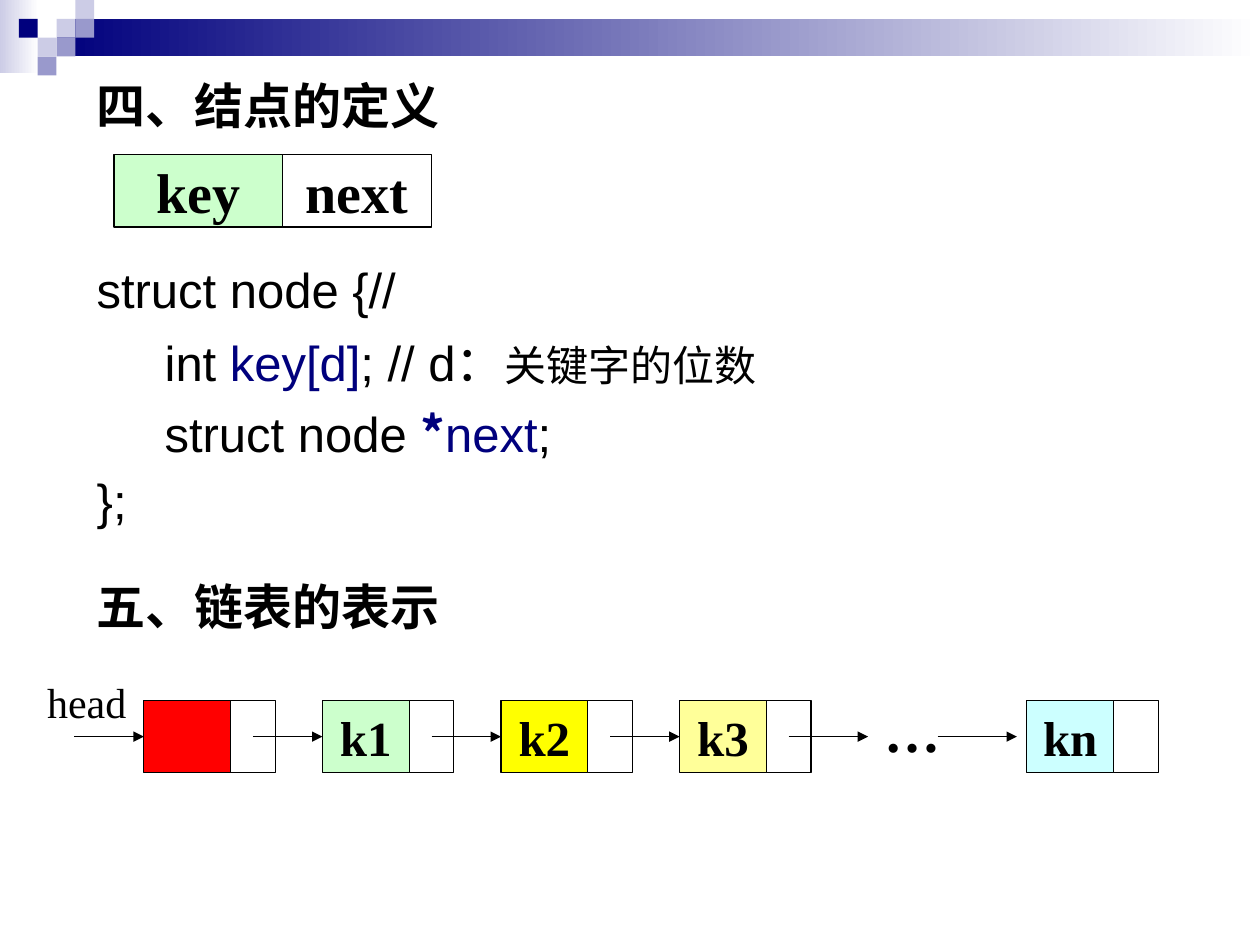
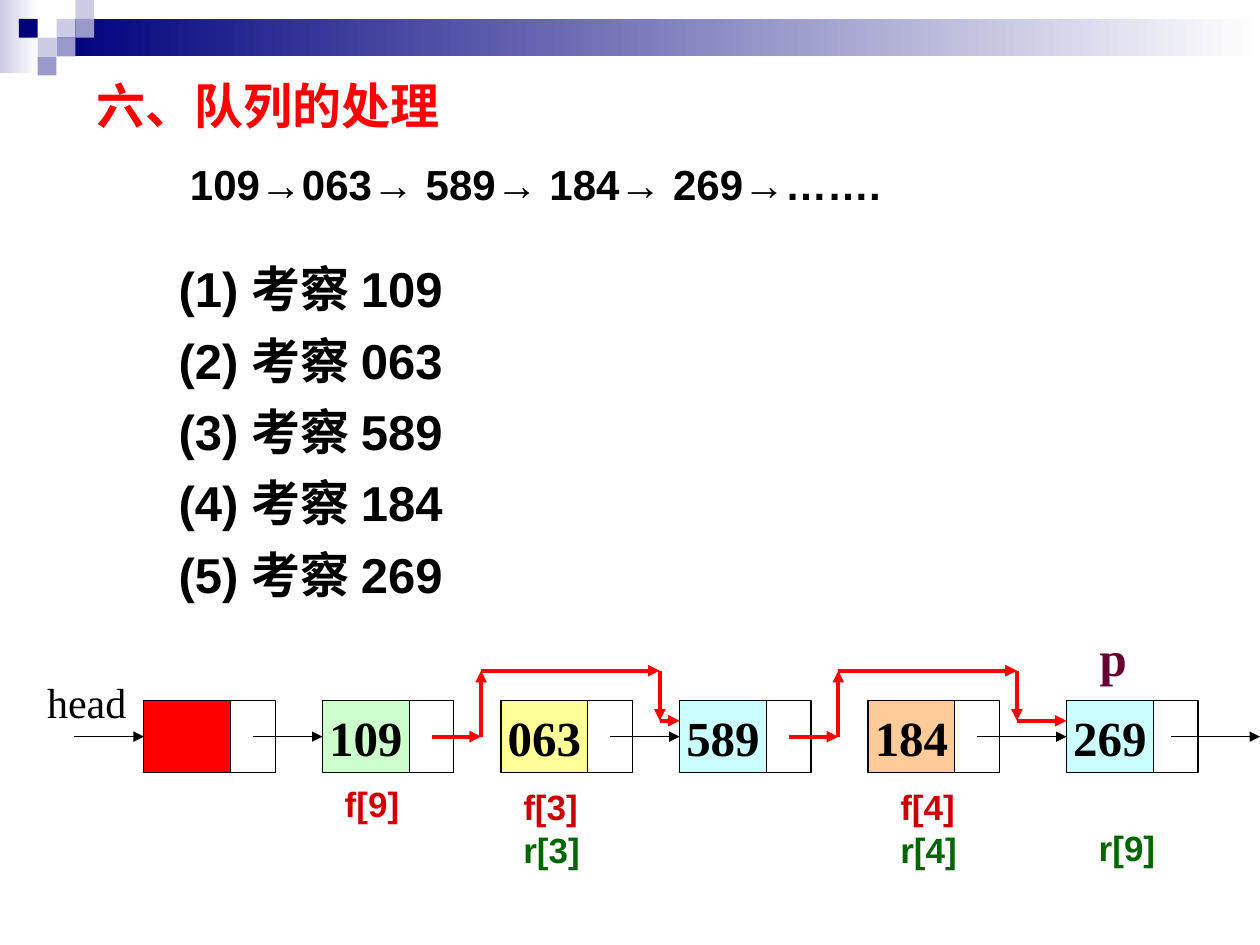
from dataclasses import dataclass
from typing import NamedTuple

from lxml.etree import SubElement
from pptx import Presentation
from pptx.dml.color import RGBColor
from pptx.enum.shapes import MSO_CONNECTOR, MSO_SHAPE
from pptx.enum.text import MSO_ANCHOR, PP_ALIGN
from pptx.oxml.ns import qn
from pptx.util import Cm, Pt

SANS, SERIF, CJK = "Arial", "Times New Roman", "Noto Sans CJK SC"
BLACK, WHITE, RED, NAVY = "000000", "FFFFFF", "FF0000", "00007D"
LAVENDER, PERIWINKLE = "CCCCE6", "9999CC"
GREEN, YELLOW, CREAM, AQUA, PEACH = "CCFFCC", "FFFF00", "FFFF99", "CCFFFF", "FFCC99"
FRONT_RED, REAR_GREEN, PLUM = "CC0000", "006600", "660033"

TILE = 0.38
NODE_TOP, NODE_HEIGHT = 14.12, 1.46
NODE_MIDDLE = NODE_TOP + NODE_HEIGHT / 2
KEY_WIDTH, NEXT_OFFSET, NEXT_WIDTH = 1.75, 1.7, 0.95
FIRST_NODE, NODE_PITCH = 2.9, 3.6
POINTER_OFFSET = 2.2
DETOUR_TOP, DETOUR_ENTRY = 13.52, 14.53


class Piece(NamedTuple):
    text: str
    size: float = 28
    color: str = BLACK
    bold: bool = False
    font: str = SANS


@dataclass
class Line:
    pieces: list[Piece]
    gap: float = 0
    indent: float = 0
    height: float | None = None


class Node(NamedTuple):
    left: float
    key: str
    color: str


@dataclass
class Label:
    left: float
    top: float
    width: float
    height: float
    pieces: list[Piece]
    align: PP_ALIGN = PP_ALIGN.LEFT


class Detour(NamedTuple):
    start: float
    rise: float
    fall: float
    end: float


def rgb(color: str) -> RGBColor:
    return RGBColor.from_string(color)


def write(frame, lines: list[Line], align=PP_ALIGN.LEFT, wrap: bool = False) -> None:
    frame.word_wrap = wrap
    for index, line in enumerate(lines):
        paragraph = frame.add_paragraph() if index else frame.paragraphs[0]
        paragraph.alignment = align
        paragraph.space_before = Pt(line.gap)
        if line.height:
            paragraph.line_spacing = Pt(line.height)
        if line.indent:
            paragraph._p.get_or_add_pPr().set("marL", str(Cm(line.indent)))
        paragraph.text = line.pieces[0].text
        for piece in line.pieces[1:]:
            paragraph.add_run().text = piece.text
        for run, piece in zip(paragraph.runs, line.pieces):
            run.font.size = Pt(piece.size)
            run.font.bold = piece.bold
            run.font.color.rgb = rgb(piece.color)
            run.font.name = piece.font
            SubElement(run._r.get_or_add_rPr(), qn("a:ea"), typeface=CJK)


def add_box(slide, left: float, top: float, width: float, height: float, color: str,
            outlined: bool = False, fade: bool = False):
    box = slide.shapes.add_shape(MSO_SHAPE.RECTANGLE, Cm(left), Cm(top), Cm(width), Cm(height))
    box.shadow.inherit = False
    if fade:
        box.fill.gradient()
        box.fill.gradient_angle = 180
        for stop, shade in zip(box.fill.gradient_stops, (WHITE, color)):
            stop.color.rgb = rgb(shade)
    else:
        box.fill.solid()
        box.fill.fore_color.rgb = rgb(color)
    if outlined:
        box.line.color.rgb = rgb(BLACK)
        box.line.width = Pt(0.75)
    else:
        box.line.fill.background()
    return box


def add_cell(slide, left: float, top: float, width: float, color: str,
             text: str = "", size: float = 28):
    cell = add_box(slide, left, top, width, NODE_HEIGHT, color, outlined=True)
    if text:
        cell.text_frame.vertical_anchor = MSO_ANCHOR.MIDDLE
        write(cell.text_frame, [Line([Piece(text, size, BLACK, True, SERIF)])], PP_ALIGN.CENTER)
    return cell


def add_arrow(slide, start: tuple[float, float], end: tuple[float, float],
              color: str = BLACK, width: float = 0.75, target=None) -> None:
    arrow = slide.shapes.add_connector(MSO_CONNECTOR.STRAIGHT, *map(Cm, start + end))
    arrow.line.color.rgb = rgb(color)
    arrow.line.width = Pt(width)
    SubElement(arrow.line._get_or_add_ln(), qn("a:tailEnd"), type="triangle")
    SubElement(arrow._element.spPr, qn("a:effectLst"))
    if target is not None:
        arrow.end_connect(target, 1)


def add_label(slide, label: Label) -> None:
    area = slide.shapes.add_textbox(Cm(label.left), Cm(label.top), Cm(label.width), Cm(label.height))
    write(area.text_frame, [Line([piece]) for piece in label.pieces], label.align)


def add_band(slide) -> None:
    add_box(slide, 0, 0, 0.78, 1.47, LAVENDER, fade=True)
    add_box(slide, 3 * TILE, TILE, 24.26, 2 * TILE, NAVY, fade=True)
    for column, row, color in (
        (3, 1, LAVENDER), (4, 0, LAVENDER), (4, 1, PERIWINKLE), (2, 2, LAVENDER),
        (1, 1, NAVY), (3, 2, PERIWINKLE), (2, 3, PERIWINKLE),
    ):
        add_box(slide, column * TILE, row * TILE, TILE, TILE, color)


def add_body(slide, height: float, lines: list[Line]) -> None:
    body = slide.shapes.add_textbox(Cm(1.7), Cm(1.32), Cm(23.7), Cm(height))
    for line in lines:
        line.height = 36
    write(body.text_frame, lines, wrap=True)


def add_nodes(slide, nodes: list[Node]) -> list:
    keys = []
    for node in nodes:
        add_cell(slide, node.left + NEXT_OFFSET, NODE_TOP, NEXT_WIDTH, WHITE)
        keys.append(add_cell(slide, node.left, NODE_TOP, KEY_WIDTH, node.color, node.key))
    add_label(slide, Label(0.7, 13.52, 2.1, 1.27, [Piece("head", 24, font=SERIF)]))
    add_pointer(slide, FIRST_NODE - 1.4, FIRST_NODE, keys[0])
    return keys


def add_pointer(slide, start: float, end: float, target=None) -> None:
    add_arrow(slide, (start, NODE_MIDDLE), (end, NODE_MIDDLE), target=target)


def add_detour(slide, detour: Detour) -> None:
    corners = [
        (detour.start, NODE_MIDDLE), (detour.rise, NODE_MIDDLE), (detour.rise, DETOUR_TOP),
        (detour.fall, DETOUR_TOP), (detour.fall, DETOUR_ENTRY), (detour.end, DETOUR_ENTRY),
    ]
    for start, end in zip(corners, corners[1:]):
        add_arrow(slide, start, end, RED, 2.25)


def node_left(index: int) -> float:
    return FIRST_NODE + index * NODE_PITCH


def build_definition(slide) -> None:
    add_band(slide)
    add_body(slide, 15.8, [
        Line([Piece("四、结点的定义", bold=True)]),
        Line([Piece("struct node {//")], gap=69),
        Line([Piece("int "), Piece("key[d]", color=NAVY), Piece("; // d："),
              Piece("关键字的位数", 24)], gap=5.6, indent=1.37),
        Line([Piece("struct node "), Piece("*", 28, NAVY, True, CJK),
              Piece("next", color=NAVY), Piece(";")], gap=4.5, indent=1.37),
        Line([Piece("};")], gap=2.3),
        Line([Piece("五、链表的表示", bold=True)], gap=24.6),
    ])
    add_cell(slide, 5.7, 3.12, 3, WHITE, "next", 32)
    add_cell(slide, 2.3, 3.12, 3.4, GREEN, "key", 32)

    nodes = [Node(node_left(0), "", RED), Node(node_left(1), "k1", GREEN),
             Node(node_left(2), "k2", YELLOW), Node(node_left(3), "k3", CREAM),
             Node(20.7, "kn", AQUA)]
    keys = add_nodes(slide, nodes)
    for index in range(1, 4):
        add_pointer(slide, nodes[index - 1].left + POINTER_OFFSET, nodes[index].left, keys[index])
    for start in (15.9, 18.9):
        add_pointer(slide, start, start + 1.6)
    add_label(slide, Label(17.3, 13.92, 2.2, 1.63, [Piece("…", 32, BLACK, True, SERIF)],
                           PP_ALIGN.CENTER))


def build_queue(slide) -> None:
    add_band(slide)
    values = ["109", "063", "589", "184", "269"]
    add_body(slide, 11.8, [
        Line([Piece("六、队列的处理", color=RED, bold=True)]),
        Line([Piece("109→063→ 589→ 184→ 269→…….", 24, bold=True)], gap=6.7, indent=1.88),
        *(Line([Piece(f"({number}) 考察 {value}", bold=True)],
               gap=25.9 if number == 1 else 4.75, indent=1.65)
          for number, value in enumerate(values, 1)),
    ])

    lefts = [node_left(1), node_left(2), node_left(3), 17.5, 21.5]
    colors = [GREEN, CREAM, AQUA, PEACH, AQUA]
    nodes = [Node(node_left(0), "", RED), *map(Node, lefts, values, colors)]
    keys = add_nodes(slide, nodes)
    for index in (1, 3, 5):
        add_pointer(slide, nodes[index - 1].left + POINTER_OFFSET, nodes[index].left, keys[index])
    add_pointer(slide, 23.6, 25.4)
    for detour in (Detour(8.7, 9.7, 13.3, 13.7), Detour(15.9, 16.9, 20.5, 21.5)):
        add_detour(slide, detour)

    for label in (
        Label(21.92, 12.52, 1.04, 1.45, [Piece("p", 28, PLUM, True, SERIF)]),
        Label(6.7, 15.65, 1.6, 1.95, [Piece("f[9]", 20, FRONT_RED, True)]),
        Label(10.3, 15.72, 1.65, 1.95,
              [Piece("f[3]", 20, FRONT_RED, True), Piece("r[3]", 20, REAR_GREEN, True)]),
        Label(17.9, 15.72, 1.65, 1.95,
              [Piece("f[4]", 20, FRONT_RED, True), Piece("r[4]", 20, REAR_GREEN, True)]),
        Label(21.9, 16.53, 1.65, 1.11, [Piece("r[9]", 20, REAR_GREEN, True)]),
    ):
        add_label(slide, label)


def main() -> None:
    deck = Presentation()
    deck.slide_width, deck.slide_height = Cm(25.4), Cm(19.05)
    for build in (build_definition, build_queue):
        build(deck.slides.add_slide(deck.slide_layouts[6]))
    deck.save("out.pptx")


if __name__ == "__main__":
    main()
